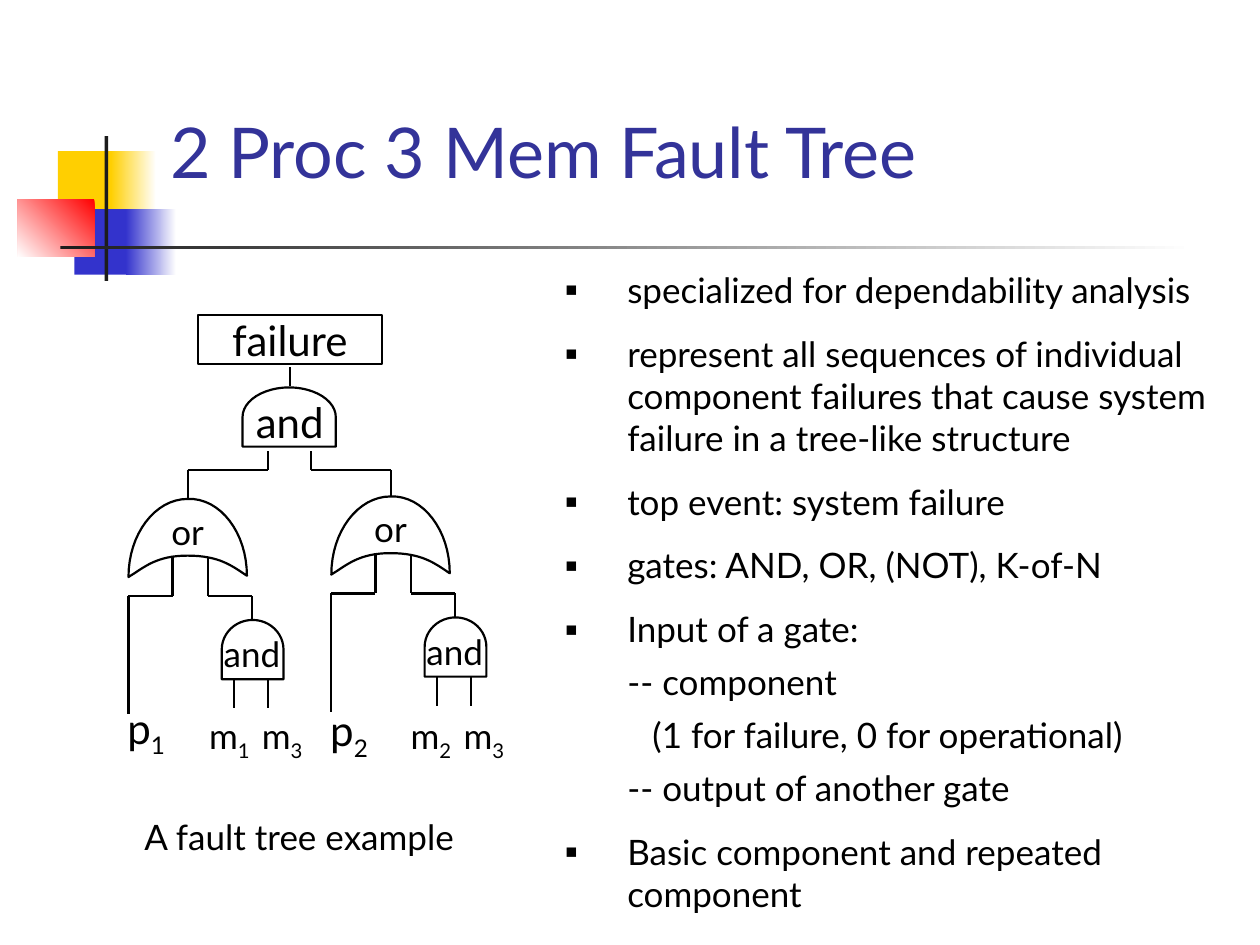
from lxml import etree
from pptx import Presentation
from pptx.dml.color import RGBColor
from pptx.enum import shapes, text
from pptx.oxml.ns import qn
from pptx.util import Inches, Pt


def color(value):
    return RGBColor.from_string(value)


def write(p, content, size=20, c="000000", sub="", align=text.PP_ALIGN.LEFT):
    p.alignment = align
    for part in filter(None, (content, sub)):
        r = p.add_run()
        r.text = part
        r.font.name = "Lato"
        r.font.size = Pt(size)
        r.font.color.rgb = color(c)
        if part == sub:
            r.font._element.set("baseline", "-25000")


prs = Presentation()
prs.slide_width, prs.slide_height = Inches(10), Inches(7.5)
s = prs.slides.add_slide(prs.slide_layouts[5])
center = text.PP_ALIGN.CENTER
middle = text.MSO_ANCHOR.MIDDLE

decoration = [
    (0.46, 1.2, 0.48, 0.52, "FFCF01", None),
    (0.88, 1.2, 0.36, 0.52, "FFCF01", 0),
    (0.59, 1.66, 0.46, 0.52, "3333CC", None),
    (1, 1.66, 0.4, 0.52, "3333CC", 0),
    (0.14, 1.58, 0.61, 0.46, "FF0000", 225),
    (0.83, 1.08, 0.03, 1.15, "1C1C1C", None),
    (0.48, 1.95, 9, 0.03, "1C1C1C", 0),
]
for x, y, w, h, c, angle in decoration:
    sp = s.shapes.add_shape(shapes.MSO_SHAPE.RECTANGLE, Inches(x), Inches(y), Inches(w), Inches(h))
    sp.shadow.inherit = False
    sp.line.fill.background()
    if angle is None:
        sp.fill.solid()
        sp.fill.fore_color.rgb = color(c)
    else:
        sp.fill.gradient()
        sp.fill.gradient_angle = angle
        for stop, stop_color in zip(sp.fill.gradient_stops, (c, "FFFFFF")):
            stop.color.rgb = color(stop_color)

title = s.shapes.title
title.left, title.top, title.width, title.height = Inches(1.25), Inches(0.33), Inches(8.52), Inches(1.25)
title.text_frame.vertical_anchor = text.MSO_ANCHOR.BOTTOM
write(title.text_frame.paragraphs[0], "2 Proc 3 Mem Fault Tree", size=40, c="333399")

branches = [(0, 0), (1.61, -0.02)]
wires = [
    (2.3, 3.06, 2.3, 2.91),
    (1.49, 3.73, 1.49, 4.04), (3.1, 3.73, 3.1, 4.04),
    (1.49, 3.73, 2.13, 3.73), (2.47, 3.73, 3.1, 3.73),
    (2.13, 3.73, 2.13, 3.58), (2.47, 3.73, 2.47, 3.58),
]
branch_wires = [
    (1.65, 4.34, 1.65, 4.73), (1.65, 4.73, 2, 4.73), (2, 4.73, 2, 5.12),
    (1.37, 4.35, 1.37, 4.73), (1.02, 4.73, 1.37, 4.73), (1.02, 4.73, 1.02, 5.67),
    (1.86, 5.39, 1.86, 5.62), (2.13, 5.39, 2.13, 5.62),
]
for dx, dy in branches:
    wires += [(x1 + dx, y1 + dy, x2 + dx, y2 + dy) for x1, y1, x2, y2 in branch_wires]
for wire in wires:
    cn = s.shapes.add_connector(shapes.MSO_CONNECTOR.STRAIGHT, *map(Inches, wire))
    cn.line.color.rgb = color("000000")
    cn.line.width = Pt(1.25)
    etree.SubElement(cn._element.spPr, qn("a:effectLst"))

or_curves = [
    [(1.96, 4.57), (1.84, 4.49), (1.74, 4.41), (1.49, 4.41)],
    [(1.49, 4.41), (1.24, 4.41), (1.15, 4.5), (1.02, 4.58)],
    [(1.02, 4.58), (1.02, 4.24), (1.23, 3.96), (1.49, 3.96)],
    [(1.49, 3.96), (1.75, 3.95), (1.96, 4.23), (1.96, 4.57)],
]
steps = 16
outline = []
for curve in or_curves:
    for i in range(steps):
        t = i / steps
        weights = ((1 - t) ** 3, 3 * t * (1 - t) ** 2, 3 * t * t * (1 - t), t ** 3)
        outline.append([sum(k * pt[axis] for k, pt in zip(weights, curve)) for axis in (0, 1)])

delay = shapes.MSO_SHAPE.FLOWCHART_DELAY
nodes = [
    (s.shapes.add_shape(delay, Inches(2.06), Inches(2.94), Inches(0.47), Inches(0.74)), "", 24),
    (s.shapes.add_shape(shapes.MSO_SHAPE.RECTANGLE, Inches(1.57), Inches(2.5), Inches(1.46), Inches(0.39)),
     "failure", 24),
]
for dx, dy in branches:
    points = [(Inches(x + dx), Inches(y + dy)) for x, y in outline]
    fb = s.shapes.build_freeform(*points[0])
    fb.add_line_segments(points[1:], close=True)
    nodes.append((fb.convert_to_shape(), "or", 20))
    gate = s.shapes.add_shape(delay, Inches(1.77 + dx), Inches(4.91 + dy), Inches(0.47), Inches(0.49))
    nodes.append((gate, "", 20))

for sp, label, size in nodes:
    sp.shadow.inherit = False
    sp.fill.solid()
    sp.fill.fore_color.rgb = color("FFFFFF")
    sp.line.color.rgb = color("000000")
    sp.line.width = Pt(1.25)
    if not label:
        sp.rotation = 270
        continue
    tf = sp.text_frame
    tf.word_wrap = False
    tf.vertical_anchor = middle
    if label == "or":
        tf.margin_bottom = Inches(0.16)
    write(tf.paragraphs[0], label, size=size, align=center)

labels = [
    (1.16, 5.8, "p", "1", 24), (2.77, 5.82, "p", "2", 24),
    (1.82, 5.86, "m", "1", 20), (2.24, 5.86, "m", "3", 20),
    (3.42, 5.86, "m", "2", 20), (3.84, 5.86, "m", "3", 20),
    (2.3, 3.35, "and", "", 24),
]
labels += [(2 + dx, 5.19 + dy, "and", "", 20) for dx, dy in branches]
for x, y, name, sub, size in labels:
    w, h = (0.8 if name == "and" else 0.49), 0.47
    tf = s.shapes.add_textbox(Inches(x - w / 2), Inches(y - h / 2), Inches(w), Inches(h)).text_frame
    tf.word_wrap = False
    tf.margin_left = tf.margin_right = 0
    tf.vertical_anchor = middle
    write(tf.paragraphs[0], name, size=size, sub=sub, align=center)

tf = s.shapes.add_textbox(Inches(0.5), Inches(6.42), Inches(3.75), Inches(0.44)).text_frame
tf.word_wrap = True
write(tf.paragraphs[0], "A fault tree example", align=center)

notes = [
    (0, 0.5, "specialized for dependability analysis"),
    (0, 0.5, "represent all sequences of individual component failures that cause system "
             "failure in a tree-like structure"),
    (0, 0.5, "top event: system failure"),
    (0, 0.5, "gates: AND, OR, (NOT), K-of-N"),
    (0, 0.5, "Input of a gate:"),
    (1, 0.5, "-- component"),
    (1, 0.7, "(1 for failure, 0 for operational)"),
    (1, 0.5, "-- output of another gate"),
    (0, 0.5, "Basic component and repeated component"),
]
tf = s.shapes.add_textbox(Inches(4.38), Inches(2.08), Inches(5.45), Inches(5.3)).text_frame
tf.word_wrap = True
for i, (level, indent, content) in enumerate(notes):
    p = tf.add_paragraph() if i else tf.paragraphs[0]
    p.level = level
    if i:
        p.space_before = Pt(6.2 if level else 12.5)
    pPr = p._p.get_or_add_pPr()
    pPr.set("marL", str(Inches(indent)))
    pPr.set("indent", str(0 if level else Inches(-0.5)))
    if level == 0:
        etree.SubElement(pPr, qn("a:buFont")).set("typeface", "Lato")
        etree.SubElement(pPr, qn("a:buChar")).set("char", "▪")
    write(p, content)

prs.save("out.pptx")
